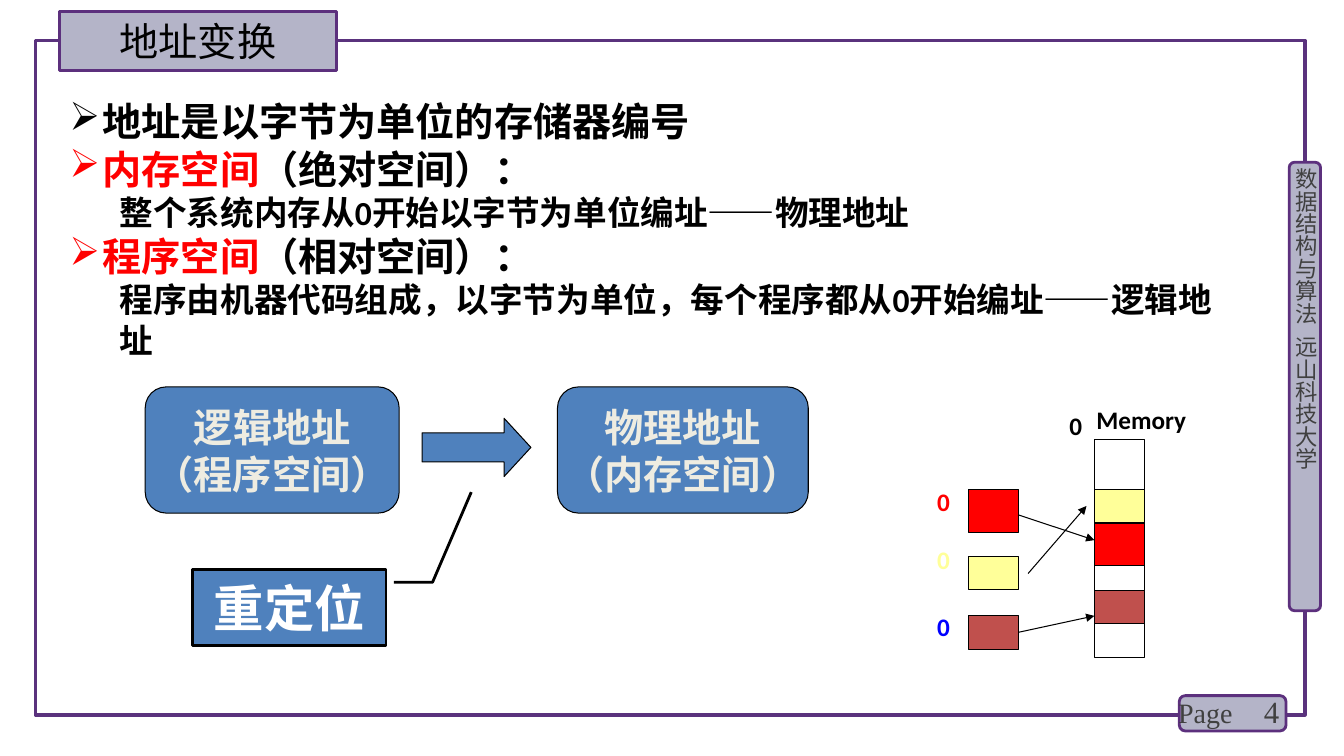
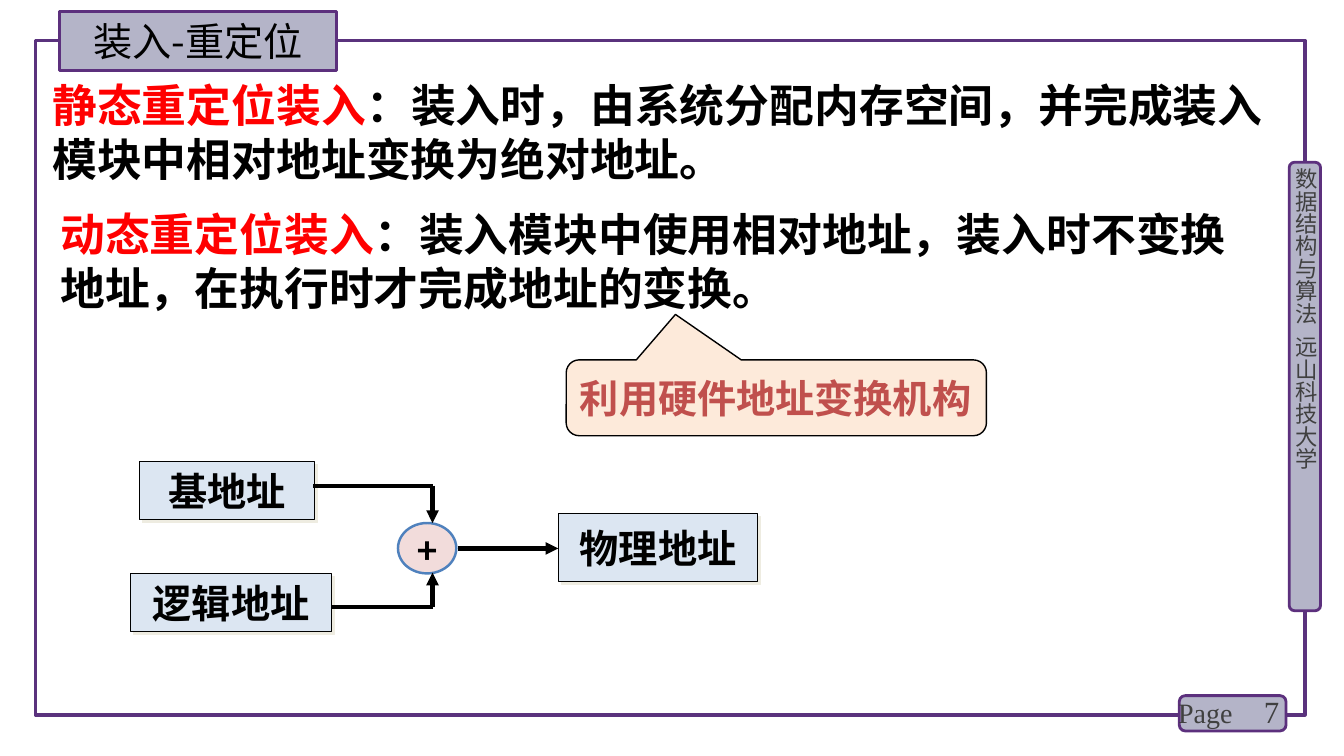
import lxml.etree
import pptx
import pptx.dml.color
import pptx.enum.shapes
import pptx.enum.text
import pptx.oxml.ns
import pptx.util

Cm = pptx.util.Cm
Pt = pptx.util.Pt
SHAPE = pptx.enum.shapes.MSO_SHAPE
ALIGN = pptx.enum.text.PP_ALIGN
ANCHOR = pptx.enum.text.MSO_ANCHOR
qn = pptx.oxml.ns.qn

BLACK = "000000"
WHITE = "FFFFFF"
RED = "FF0000"
YELLOW = "FFFF99"
BRICK = "C0504D"
BLUE = "4F81BD"
PALE_BLUE = "DCE6F2"
IVORY = "EEECE1"
GREY = "404040"
PANEL = "B4B4C8"
PURPLE = "5C307D"
LATIN = "Calibri"
CHINESE = "Noto Sans CJK SC"
SERIF = "Times New Roman"


def color(hex_text):
    return pptx.dml.color.RGBColor.from_string(hex_text)


def add_xml(parent, tag, **attributes):
    return lxml.etree.SubElement(parent, qn(tag), attributes)


def place(shape, left, top, width, height):
    shape.left, shape.top = Cm(left), Cm(top)
    shape.width, shape.height = Cm(width), Cm(height)


def paint(shape, fill, line, weight):
    if fill:
        shape.fill.solid()
        shape.fill.fore_color.rgb = color(fill)
    else:
        shape.fill.background()
    shape.line.color.rgb = color(line)
    shape.line.width = Pt(weight)


def add_box(slide, kind, area, fill, line=BLACK, weight=0.75, adjustments=()):
    shape = slide.shapes.add_shape(kind, *map(Cm, area))
    shape.shadow.inherit = False
    paint(shape, fill, line, weight)
    for index, value in enumerate(adjustments):
        shape.adjustments[index] = value
    return shape


def add_paragraph(frame, spans, size, font=LATIN, bold=True, align=ALIGN.LEFT):
    para = frame.paragraphs[0]
    if para.runs:
        para = frame.add_paragraph()
    para.alignment = align
    para.font.size = Pt(size)
    para.font.bold = bold
    para.font.name = font
    add_xml(para.font._element, "a:ea", typeface=CHINESE)
    para.font.color.rgb = color(spans[0][1])
    for text, span_color in spans:
        span = para.add_run()
        span.text = text
        if len(spans) > 1:
            span.font.color.rgb = color(span_color)
    return para


def label_shape(shape, lines, text_color, size=28, wrap=False, align=ALIGN.CENTER):
    frame = shape.text_frame
    frame.word_wrap = wrap
    frame.vertical_anchor = ANCHOR.MIDDLE
    for line in lines:
        add_paragraph(frame, [(line, text_color)], size, align=align)


def add_text(slide, area, spans, size, **style):
    box = slide.shapes.add_textbox(*map(Cm, area))
    box.text_frame.word_wrap = True
    add_paragraph(box.text_frame, spans, size, **style)
    return box


def add_line(slide, start, end, weight, arrow=True):
    line = slide.shapes.add_connector(
        pptx.enum.shapes.MSO_CONNECTOR.STRAIGHT, *map(Cm, start + end))
    line.line.color.rgb = color(BLACK)
    line.line.width = Pt(weight)
    properties = line.element.spPr
    if arrow:
        add_xml(properties.find(qn("a:ln")), "a:tailEnd", type="triangle")
    add_xml(properties, "a:effectLst")


def add_path(slide, points, weight):
    last = len(points) - 2
    for index, (start, end) in enumerate(zip(points, points[1:])):
        add_line(slide, start, end, weight, arrow=index == last)


def add_offset_shadow(shape):
    effects = shape.element.spPr.find(qn("a:effectLst"))
    shadow = add_xml(effects, "a:outerShdw", dist=str(Pt(2.8)), dir="2700000",
                     algn="ctr", rotWithShape="0")
    add_xml(shadow, "a:srgbClr", val=IVORY)


def indent(para, left, first=0.0, bullet=None):
    properties = para._p.get_or_add_pPr()
    properties.set("marL", str(Cm(left)))
    properties.set("indent", str(Cm(first)))
    if bullet:
        mark = lxml.etree.Element(qn("a:buChar"), char=bullet)
        properties.find(qn("a:defRPr")).addprevious(mark)


def build_frame(layout, slide):
    before = list(slide.shapes)
    add_box(slide, SHAPE.RECTANGLE, (0.89, 1.02, 32, 17), None, "5A327D", 2.25)
    add_box(slide, SHAPE.ROUNDED_RECTANGLE, (32.49, 4.09, 0.79, 11.3), PANEL, PURPLE, 2)
    course = add_text(slide, (32.56, 4.24, 0.69, 11.4),
                      [("数据结构与算法\u2002远山科技大学", GREY)], 16,
                      font=CHINESE, bold=False)
    frame = course.text_frame
    frame.margin_left = frame.margin_right = frame.margin_top = frame.margin_bottom = 0
    frame._txBody.bodyPr.set("vert", "eaVert")
    add_box(slide, SHAPE.ROUNDED_RECTANGLE, (29.72, 17.53, 2.69, 0.89), PANEL, PURPLE, 2)
    add_text(slide, (29.44, 17.4, 3.25, 1.12), [("Page", GREY)], 20,
             font=SERIF, bold=False)
    for shape in list(slide.shapes)[len(before):]:
        layout.shapes.element.append(shape.element)


def start_slide(deck, title_text, number):
    layout = deck.slide_layouts[5]
    slide = deck.slides.add_slide(layout)
    if len(deck.slides) == 1:
        build_frame(layout, slide)
    title = slide.shapes.title
    place(title, 1.5, 0.28, 6.98, 1.5)
    outline = add_xml(title.element.spPr, "a:prstGeom", prst="roundRect")
    add_xml(outline, "a:avLst")
    paint(title, PANEL, PURPLE, 2)
    frame = title.text_frame
    frame.auto_size = pptx.enum.text.MSO_AUTO_SIZE.NONE
    frame.vertical_anchor = ANCHOR.MIDDLE
    add_paragraph(frame, [(title_text, BLACK)], 28, CHINESE, False, ALIGN.CENTER)
    page = add_text(slide, (30.15, 17.42, 2.34, 1.02), [(str(number), GREY)], 22,
                    font=SERIF, bold=False, align=ALIGN.RIGHT)
    page.text_frame.vertical_anchor = ANCHOR.MIDDLE
    return slide


def add_memory_map(slide):
    source_left, memory_left, width = 24.41, 27.58, 1.27
    programs = [
        (RED, 12.34, 13.18, 1.07, RED, 12.12),
        (YELLOW, 14.02, 12.34, 0.84, YELLOW, 13.58),
        (BRICK, 15.52, 14.88, 0.84, "0000FF", 15.29),
    ]
    for fill, source_top, memory_top, height, label_color, label_top in programs:
        for left, top in ((source_left, source_top), (memory_left, memory_top)):
            add_box(slide, SHAPE.RECTANGLE, (left, top, width, height), fill)
        add_text(slide, (23.37, label_top, 0.94, 1.02), [("0", label_color)], 18)
    add_box(slide, SHAPE.RECTANGLE, (memory_left, 11.07, width, 5.51), None)
    for start, end in (
        ((25.68, 12.98), (27.58, 13.61)),
        ((25.91, 14.45), (27.38, 12.75)),
        ((25.68, 15.93), (27.58, 15.52)),
    ):
        add_line(slide, start, end, 0.75)
    add_text(slide, (26.7, 10.21, 0.94, 1.02), [("0", BLACK)], 18)
    add_text(slide, (27.38, 10.06, 2.84, 1.02), [("Memory", BLACK)], 18)


def build_address_slide(deck):
    slide = start_slide(deck, "地址变换", 4)
    for left, width, lines in (
        (3.66, 6.4, ["逻辑地址", "（程序空间）"]),
        (14.05, 6.32, ["物理地址", "（内存空间）"]),
    ):
        node = add_box(slide, SHAPE.FLOWCHART_ALTERNATE_PROCESS,
                       (left, 9.75, width, 3.18), BLUE)
        label_shape(node, lines, IVORY)
    add_box(slide, SHAPE.RIGHT_ARROW, (10.64, 10.54, 2.74, 1.47), BLUE,
            adjustments=(0.5, 0.46))
    callout = add_box(slide, SHAPE.LINE_CALLOUT_2, (4.85, 14.35, 4.88, 1.91), BLUE,
                      weight=2, adjustments=(0.17, 1.04, 0.17, 1.24, -1.02, 1.44))
    label_shape(callout, ["重定位"], WHITE, size=36, wrap=True)
    add_memory_map(slide)

    points = [
        ([("地址是以字节为单位的存储器编号", BLACK)], None),
        ([("内存空间", RED), ("（绝对空间）：", BLACK)],
         "整个系统内存从0开始以字节为单位编址——物理地址"),
        ([("程序空间", RED), ("（相对空间）：", BLACK)],
         "程序由机器代码组成，以字节为单位，每个程序都从0开始编址——逻辑地址"),
    ]
    box = slide.shapes.add_textbox(Cm(1.5), Cm(2.34), Cm(30.12), Cm(5.9))
    frame = box.text_frame
    frame.word_wrap = True
    for spans, detail in points:
        indent(add_paragraph(frame, spans, 28), 0.84, -0.84, "➢")
        if detail:
            para = add_paragraph(frame, [(detail, BLACK)], 24)
            para.level = 1
            indent(para, 1.27)


def build_loading_slide(deck):
    slide = start_slide(deck, "装入-重定位", 7)
    for area, term, meaning in (
        ((1.07, 1.83, 31.75, 3), "静态重定位装入",
         "：装入时，由系统分配内存空间，并完成装入模块中相对地址变换为绝对地址。"),
        ((1.27, 5.08, 30.4, 3), "动态重定位装入",
         "：装入模块中使用相对地址，装入时不变换地址，在执行时才完成地址的变换。"),
    ):
        add_text(slide, area, [(term, RED), (meaning, BLACK)], 32)
    callout = add_box(slide, SHAPE.ROUNDED_RECTANGULAR_CALLOUT,
                      (14.27, 9.07, 10.59, 1.91), "FDEADA", weight=1,
                      adjustments=(-0.24, -1.1, 0.17))
    label_shape(callout, ["利用硬件地址变换机构"], BRICK, wrap=True, align=ALIGN.LEFT)
    for area, text in (
        ((3.3, 14.45, 5.05, 1.47), "逻辑地址"),
        ((3.51, 11.63, 4.42, 1.47), "基地址"),
        ((14.07, 12.95, 5.03, 1.7), "物理地址"),
    ):
        box = add_box(slide, SHAPE.RECTANGLE, area, PALE_BLUE)
        add_offset_shadow(box)
        label_shape(box, [text], BLACK)
    adder = add_box(slide, SHAPE.OVAL, (10.03, 13.18, 1.47, 1.27), "F2DCDB", BLUE, 1.75)
    label_shape(adder, ["+"], BLACK)
    for points in (
        [(7.9, 12.24), (10.9, 12.24), (10.9, 13.18)],
        [(8.36, 15.29), (10.9, 15.29), (10.9, 14.43)],
        [(11.53, 13.82), (14.07, 13.82)],
    ):
        add_path(slide, points, 3)


def main():
    deck = pptx.Presentation()
    deck.slide_width, deck.slide_height = Cm(33.87), Cm(19.05)
    build_address_slide(deck)
    build_loading_slide(deck)
    deck.save("out.pptx")


main()
